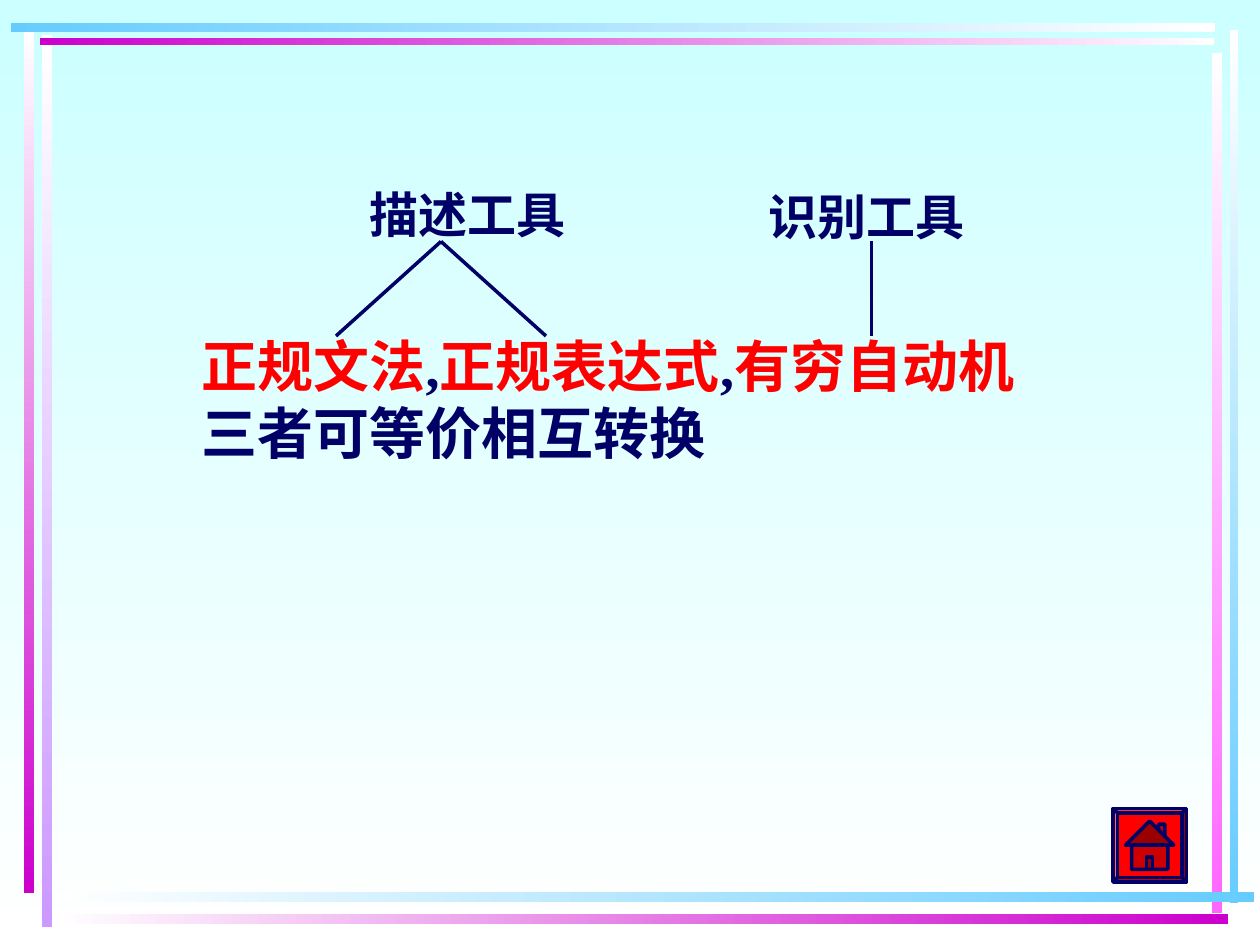
from typing import NamedTuple

from pptx import Presentation
from pptx.dml.color import RGBColor
from pptx.enum import shapes, text
from pptx.oxml.ns import qn
from pptx.util import Pt
from lxml import etree

NAVY, RED, WHITE = "000066", "FF0000", "FFFFFF"
RIGHTWARD, DOWNWARD = 0, 270


class Bar(NamedTuple):
    left: float
    top: float
    width: float
    height: float
    start: str
    end: str
    angle: int


class Branch(NamedTuple):
    x1: float
    y1: float
    x2: float
    y2: float


class Label(NamedTuple):
    words: str
    left: float
    top: float


FRAME = [
    Bar(23.8, 20.2, 5.8, 509.8, WHITE, "CC99FF", DOWNWARD),
    Bar(13.7, 18, 5.8, 492.5, WHITE, "CC00CC", DOWNWARD),
    Bar(702.7, 17.3, 5, 499, WHITE, "66CCFF", DOWNWARD),
    Bar(692.6, 30.2, 6, 491.8, WHITE, "FF66FF", DOWNWARD),
    Bar(32.4, 509.8, 684, 5.8, WHITE, "66CCFF", RIGHTWARD),
    Bar(32.4, 522, 669.6, 5.8, WHITE, "CC00CC", RIGHTWARD),
    Bar(23, 21.6, 671, 4.3, "CC00CC", WHITE, RIGHTWARD),
    Bar(6.1, 13.3, 688.3, 5, "66CCFF", WHITE, RIGHTWARD),
]
BRANCHES = [
    Branch(252, 138, 192, 192),
    Branch(252, 138, 312, 192),
    Branch(498, 138, 498, 192),
]
TOOLS = [Label("描述工具", 204, 102), Label("识别工具", 432, 103)]
STATEMENT = [
    ("正规文法", RED), (",", NAVY), ("正规表达式", RED), (",", NAVY),
    ("有穷自动机", RED), ("三者可等价相互转换", NAVY),
]


def colour(code: str) -> RGBColor:
    """Turn a hex string into a colour."""
    return RGBColor.from_string(code)


def set_gradient(fill, start: str, end: str, angle: int) -> None:
    """Apply a two-stop linear gradient."""
    fill.gradient()
    fill.gradient_angle = angle
    for stop, code, position in zip(fill.gradient_stops, (start, end), (0, 1)):
        stop.color.rgb = colour(code)
        stop.position = position


def add_bar(slide, bar: Bar) -> None:
    """Draw one gradient bar of the frame."""
    strip = slide.shapes.add_shape(
        shapes.MSO_SHAPE.RECTANGLE,
        Pt(bar.left), Pt(bar.top), Pt(bar.width), Pt(bar.height))
    strip.shadow.inherit = False
    strip.line.fill.background()
    set_gradient(strip.fill, bar.start, bar.end, bar.angle)


def add_words(slide, pieces, *, left: float, top: float, width: float,
              height: float, size: float, font: str = "Times New Roman") -> None:
    """Add a bold text box from (words, colour) pieces."""
    box = slide.shapes.add_textbox(Pt(left), Pt(top), Pt(width), Pt(height))
    frame = box.text_frame
    frame.word_wrap = True
    frame.auto_size = text.MSO_AUTO_SIZE.SHAPE_TO_FIT_TEXT
    for words, code in pieces:
        run = frame.paragraphs[0].add_run()
        run.text = words
        run.font.name = font
        run.font.size = Pt(size)
        run.font.bold = True
        run.font.color.rgb = colour(code)


def add_branch(slide, branch: Branch) -> None:
    """Draw a line from a tool down to its formalism."""
    line = slide.shapes.add_connector(
        shapes.MSO_CONNECTOR.STRAIGHT, *(Pt(value) for value in branch))
    line.line.color.rgb = colour(NAVY)
    line.line.width = Pt(2)
    etree.SubElement(line._element.spPr, qn("a:effectLst"))


def add_button_part(slide, kind, left: float, top: float, side: float):
    """Draw one square part of the home button."""
    part = slide.shapes.add_shape(kind, Pt(left), Pt(top), Pt(side), Pt(side))
    part.shadow.inherit = False
    part.fill.solid()
    part.fill.fore_color.rgb = colour(RED)
    part.line.color.rgb = colour(NAVY)
    part.line.width = Pt(2)
    return part


def add_home_button(slide, left: float, top: float, side: float, edge: float) -> None:
    """Draw a bevelled button with a house on its face."""
    bevel = add_button_part(slide, shapes.MSO_SHAPE.BEVEL, left, top, side)
    bevel.adjustments[0] = edge / side
    add_button_part(slide, shapes.MSO_SHAPE.ACTION_BUTTON_HOME,
                    left + edge, top + edge, side - 2 * edge)


def main() -> None:
    """Build the slide and save it."""
    deck = Presentation()
    deck.slide_width, deck.slide_height = Pt(720), Pt(540)
    slide = deck.slides.add_slide(deck.slide_layouts[6])
    set_gradient(slide.background.fill, "CCFFFF", WHITE, DOWNWARD)
    for bar in FRAME:
        add_bar(slide, bar)
    add_words(slide, STATEMENT, left=108, top=186, width=498, height=84, size=32)
    for tool in TOOLS:
        add_words(slide, [(tool.words, NAVY)], left=tool.left, top=tool.top,
                  width=138, height=41, size=28)
    for branch in BRANCHES:
        add_branch(slide, branch)
    add_home_button(slide, left=636, top=462, side=42, edge=2.6)
    deck.save("out.pptx")


if __name__ == "__main__":
    main()
